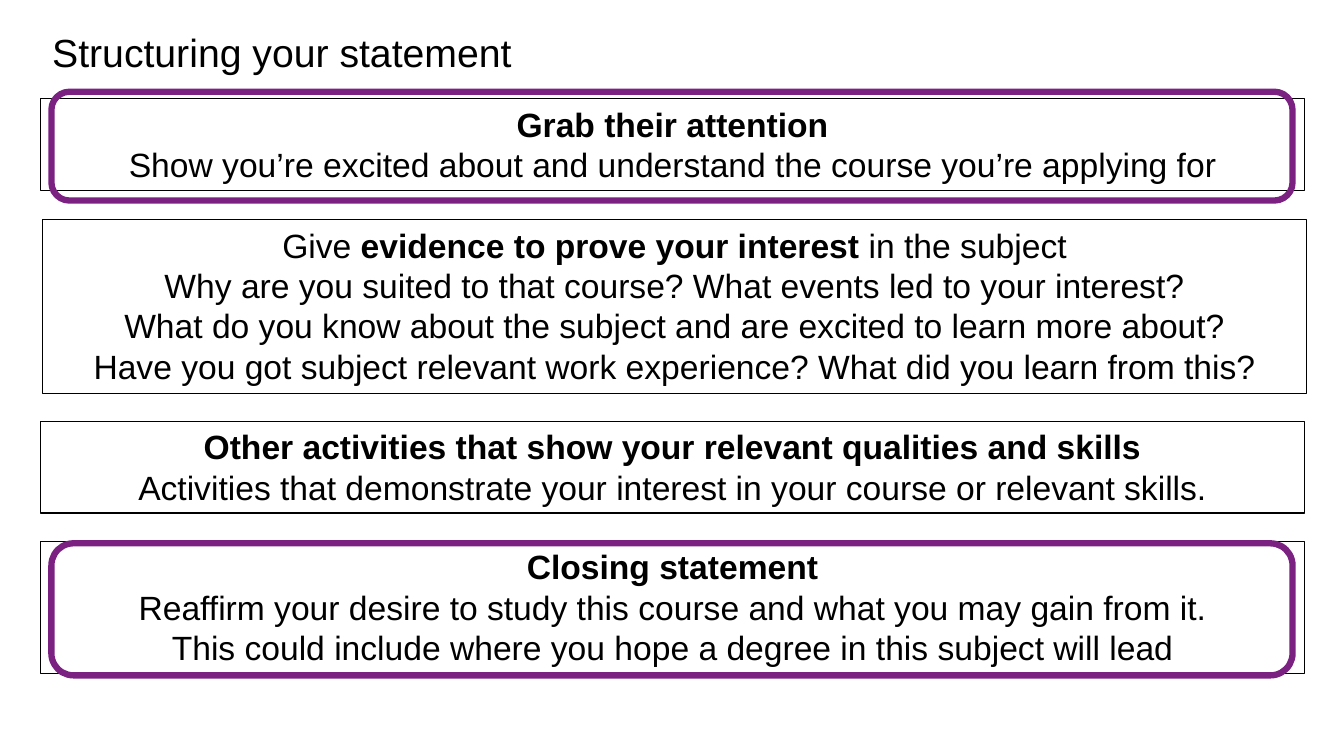
import pptx
import pptx.util
import pptx.dml.color
import pptx.enum.shapes
import pptx.enum.text

Inches = pptx.util.Inches
RGBColor = pptx.dml.color.RGBColor
Shapes = pptx.enum.shapes.MSO_SHAPE
Align = pptx.enum.text.PP_ALIGN

BLACK = RGBColor(0x00, 0x00, 0x00)
PURPLE = RGBColor(0x7B, 0x21, 0x82)
FONT = "Arial"
BOX_WIDTH = 12.54
HIGHLIGHT_LEFT, HIGHLIGHT_WIDTH = 0.51, 12.31

SECTIONS = [
    (0.4, 0.98, 0.91, [
        [("Grab their attention", True)],
        [("Show you’re excited about and understand the course you’re applying for", False)],
    ]),
    (0.42, 2.18, 1.72, [
        [("Give ", False), ("evidence to prove your interest", True), (" in the subject", False)],
        [("Why are you suited to that course? What events led to your interest?", False)],
        [("What do you know about the subject and are excited to learn more about?", False)],
        [("Have you got subject relevant work experience? What did you learn from this?", False)],
    ]),
    (0.4, 4.18, 0.91, [
        [("Other activities that show your relevant qualities and skills", True)],
        [("Activities that demonstrate your interest in your course or relevant skills.", False)],
    ]),
    (0.4, 5.37, 1.31, [
        [("Closing statement", True)],
        [("Reaffirm your desire to study this course and what you may gain from it.", False)],
        [("This could include where you hope a degree in this subject will lead", False)],
    ]),
]
HIGHLIGHTS = [(0.91, 1.08), (5.39, 1.31)]


def format_span(span, size, bold=False):
    span.font.name = FONT
    span.font.size = pptx.util.Pt(size)
    span.font.bold = bold
    span.font.color.rgb = BLACK


def add_outline(page, kind, left, top, width, height, color, weight):
    box = page.shapes.add_shape(kind, Inches(left), Inches(top), Inches(width), Inches(height))
    box.shadow.inherit = False
    box.fill.background()
    box.line.color.rgb = color
    box.line.width = pptx.util.Pt(weight)
    return box


def fit_shape_to_text(frame):
    frame.word_wrap = True
    frame.auto_size = pptx.enum.text.MSO_AUTO_SIZE.SHAPE_TO_FIT_TEXT


def add_section(page, left, top, height, lines):
    box = add_outline(page, Shapes.RECTANGLE, left, top, BOX_WIDTH, height, BLACK, 0.75)
    frame = box.text_frame
    fit_shape_to_text(frame)
    frame.vertical_anchor = pptx.enum.text.MSO_ANCHOR.TOP
    for index, line in enumerate(lines):
        para = frame.add_paragraph() if index else frame.paragraphs[0]
        para.alignment = Align.CENTER
        for words, bold in line:
            span = para.add_run()
            span.text = words
            format_span(span, 24, bold)


def add_title(page, words):
    box = page.shapes.add_textbox(Inches(0.42), Inches(0.23), Inches(6.67), Inches(0.57))
    frame = box.text_frame
    fit_shape_to_text(frame)
    frame.text = words
    format_span(frame.paragraphs[0].runs[0], 28)


def main():
    deck = pptx.Presentation()
    deck.slide_width = Inches(13.33)
    deck.slide_height = Inches(7.5)
    page = deck.slides.add_slide(deck.slide_layouts[6])
    for section in SECTIONS:
        add_section(page, *section)
    for top, height in HIGHLIGHTS:
        add_outline(page, Shapes.ROUNDED_RECTANGLE, HIGHLIGHT_LEFT, top,
                    HIGHLIGHT_WIDTH, height, PURPLE, 4.5)
    add_title(page, "Structuring your statement")
    deck.save("out.pptx")


if __name__ == "__main__":
    main()
